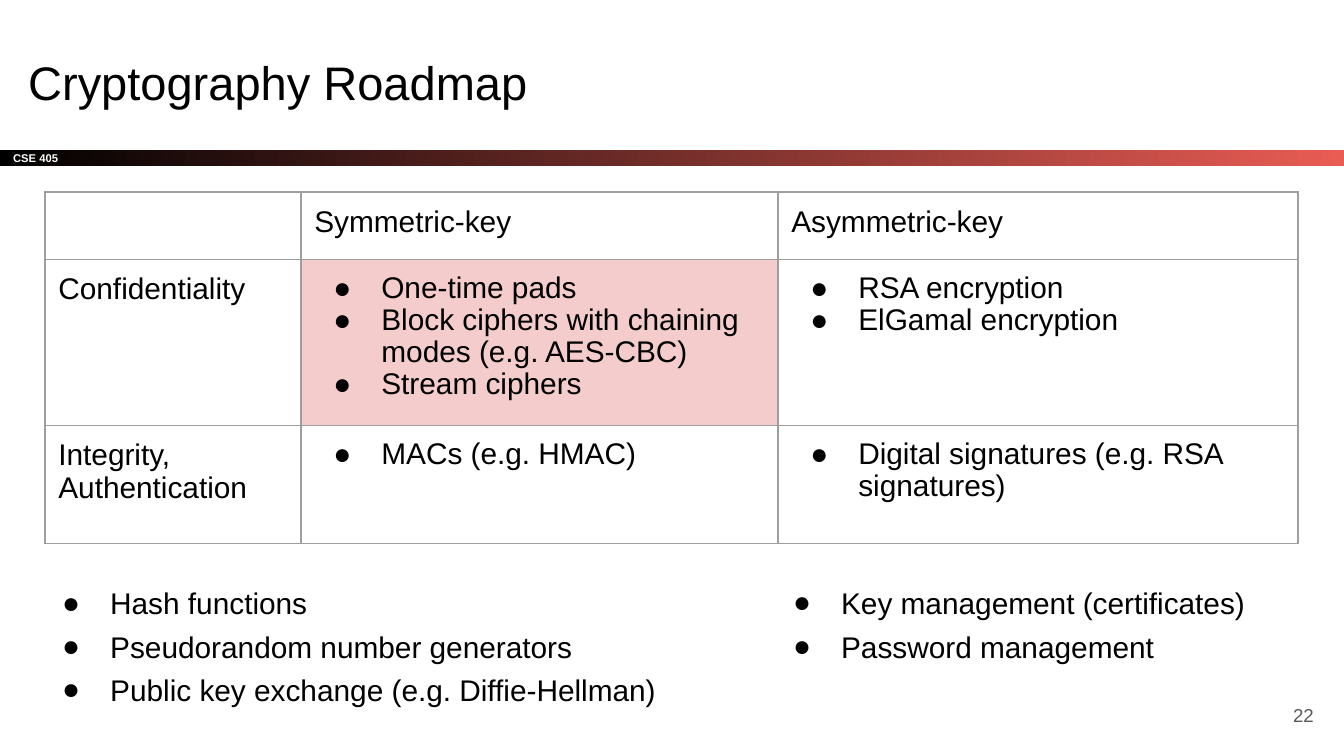
from lxml import etree
from pptx import Presentation
from pptx import util as u
from pptx.dml.color import RGBColor
from pptx.enum import shapes, text
from pptx.oxml import ns

BLACK = RGBColor(0x00, 0x00, 0x00)
WHITE = RGBColor(0xFF, 0xFF, 0xFF)
CORAL = RGBColor(0xE8, 0x5C, 0x54)
PINK = RGBColor(0xF4, 0xCC, 0xCC)
GREY = RGBColor(0x59, 0x59, 0x59)
BORDER = RGBColor(0x9E, 0x9E, 0x9E)

COLUMNS = [256, 477, 520]
ROWS = [65, 159, 118]
ROADMAP = [
    [[], ["Symmetric-key"], ["Asymmetric-key"]],
    [["Confidentiality"],
     ["One-time pads", "Block ciphers with chaining modes (e.g. AES-CBC)", "Stream ciphers"],
     ["RSA encryption", "ElGamal encryption"]],
    [["Integrity,\vAuthentication"],
     ["MACs (e.g. HMAC)"],
     ["Digital signatures (e.g. RSA signatures)"]],
]
PRIMITIVES = ["Hash functions", "Pseudorandom number generators",
              "Public key exchange (e.g. Diffie-Hellman)"]
MANAGEMENT = ["Key management (certificates)", "Password management"]


def px(n):
    """Turn whole pixels into EMU."""
    return u.Emu(round(n * 914400 / 134.4))


def add_bullet(p):
    """Give a paragraph a hanging round bullet."""
    pPr = p._p.get_or_add_pPr()
    pPr.set("marL", str(px(67)))
    pPr.set("indent", str(-px(48)))
    color = etree.SubElement(pPr, ns.qn("a:buClr"))
    etree.SubElement(color, ns.qn("a:srgbClr"), val=str(BLACK))
    etree.SubElement(pPr, ns.qn("a:buFont"), typeface="Arial")
    etree.SubElement(pPr, ns.qn("a:buChar"), char="●")


def write(tf, lines, size=16, color=BLACK, bold=False, bullets=False, spacing=None):
    """Fill a text frame with one paragraph per line."""
    for i, line in enumerate(lines):
        p = tf.paragraphs[0] if i == 0 else tf.add_paragraph()
        p.text = line
        if bullets:
            add_bullet(p)
        if spacing:
            p.line_spacing = spacing
        for r in p.runs:
            r.font.name = "Arial"
            r.font.size = u.Pt(size)
            r.font.bold = bold
            r.font.color.rgb = color


def set_margins(box):
    """Set equal margins on a text frame or cell."""
    box.margin_left = box.margin_right = box.margin_top = box.margin_bottom = u.Inches(0.1)


def add_text(s, box, lines, anchor=text.MSO_ANCHOR.TOP, **style):
    """Place a wrapping text box."""
    tf = s.shapes.add_textbox(*map(px, box)).text_frame
    tf.word_wrap = True
    tf.vertical_anchor = anchor
    set_margins(tf)
    write(tf, lines, **style)
    return tf


def add_course_bar(s, box):
    """Place the gradient bar with the course name."""
    sp = s.shapes.add_shape(shapes.MSO_SHAPE.RECTANGLE, *map(px, box))
    sp.shadow.inherit = False
    sp.line.fill.background()
    sp.fill.gradient()
    sp.fill.gradient_angle = 0
    for stop, color, position in zip(sp.fill.gradient_stops, (BLACK, CORAL), (0, 1)):
        stop.color.rgb = color
        stop.position = position
    tf = sp.text_frame
    set_margins(tf)
    tf.vertical_anchor = text.MSO_ANCHOR.MIDDLE
    write(tf, ["CSE 405"], size=6, color=WHITE, bold=True)
    tf.paragraphs[0].alignment = text.PP_ALIGN.LEFT


def add_borders(cell):
    """Draw thin grey lines around a cell."""
    tcPr = cell._tc.get_or_add_tcPr()
    for i, side in enumerate(("lnL", "lnR", "lnT", "lnB")):
        ln = etree.Element(ns.qn(f"a:{side}"), w=str(u.Pt(0.75)))
        fill = etree.SubElement(ln, ns.qn("a:solidFill"))
        etree.SubElement(fill, ns.qn("a:srgbClr"), val=str(BORDER))
        tcPr.insert(i, ln)


def add_roadmap(s, left, top):
    """Place the table of schemes by goal and key type."""
    box = (left, top, sum(COLUMNS), sum(ROWS))
    table = s.shapes.add_table(len(ROWS), len(COLUMNS), *map(px, box)).table
    table.first_row = table.horz_banding = False
    for column, width in zip(table.columns, COLUMNS):
        column.width = px(width)
    for row, height in zip(table.rows, ROWS):
        row.height = px(height)
    for i, row in enumerate(ROADMAP):
        for j, lines in enumerate(row):
            cell = table.cell(i, j)
            set_margins(cell)
            bullets = i > 0 and j > 0
            write(cell.text_frame, lines, bullets=bullets, spacing=0.97 if bullets else None)
            cell.fill.background()
            add_borders(cell)
    highlight = table.cell(1, 1).fill
    highlight.solid()
    highlight.fore_color.rgb = PINK


def add_topics(s, box, topics):
    """Place a bulleted list of further topics."""
    add_text(s, box, topics, bullets=True, spacing=1.21)


def main():
    """Build the roadmap slide."""
    prs = Presentation()
    prs.slide_width, prs.slide_height = px(1344), px(756)
    s = prs.slides.add_slide(prs.slide_layouts[6])
    add_course_bar(s, (0, 150, 1344, 16))
    add_text(s, (15, 40, 1253, 85), ["Cryptography Roadmap"], size=25.2)
    add_roadmap(s, 45, 192)
    add_topics(s, (30, 564, 642, 172), PRIMITIVES)
    add_topics(s, (761, 564, 507, 105), MANAGEMENT)
    tf = add_text(s, (1246, 686, 81, 58), ["22"], anchor=text.MSO_ANCHOR.MIDDLE,
                  size=10, color=GREY)
    tf.paragraphs[0].alignment = text.PP_ALIGN.RIGHT
    prs.save("out.pptx")


if __name__ == "__main__":
    main()
